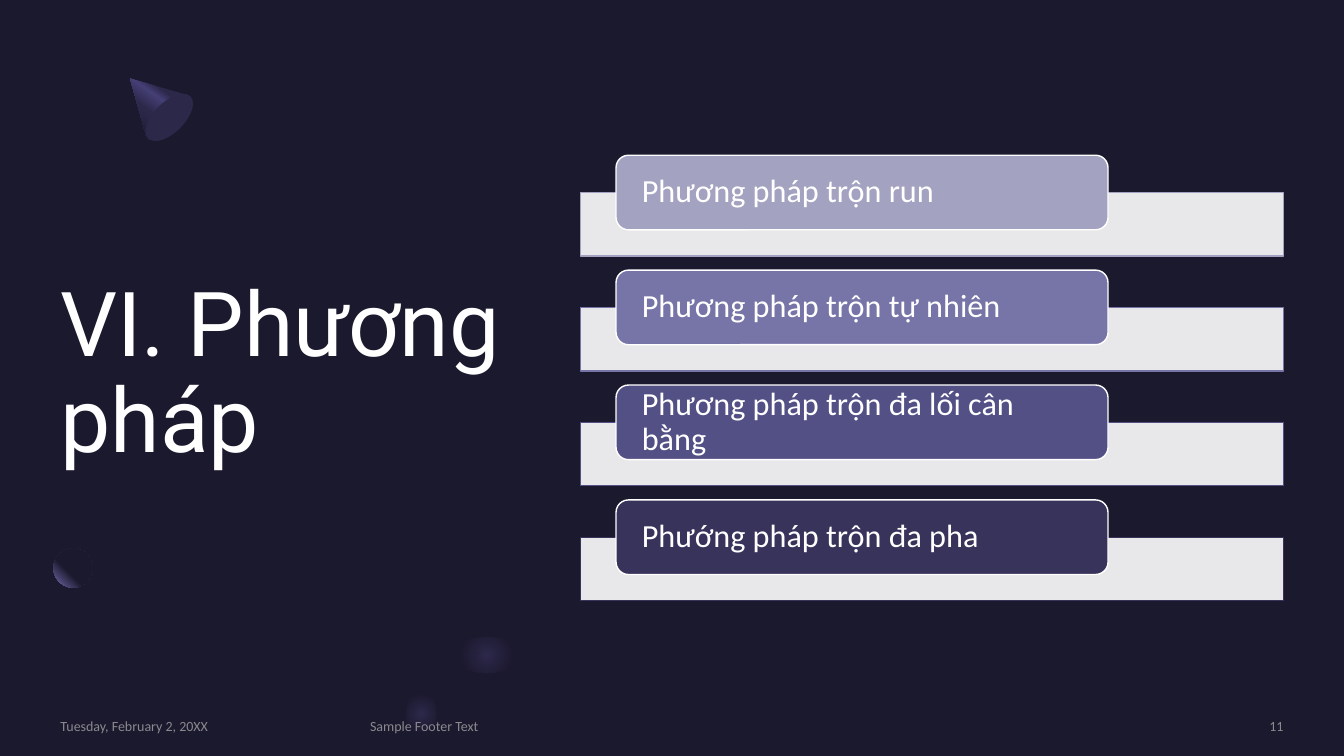
"""Builds the slide that lists the four merge sort methods."""
from dataclasses import dataclass

from lxml.etree import SubElement as Sub
from pptx import Presentation
from pptx.dml.color import RGBColor as Color
from pptx.enum.shapes import MSO_SHAPE as Kind
from pptx.enum.text import MSO_ANCHOR as Anchor, PP_ALIGN as Align
from pptx.oxml.ns import qn
from pptx.util import Inches, Pt


@dataclass(frozen=True)
class Theme:
    """Colours, fonts and type sizes."""
    back: str = "1B192E"
    deep: str = "2C284A"
    glow: str = "454075"
    rim: str = "7771B2"
    white: str = "FFFFFF"
    bar: str = "E8E8EA"
    mute: str = "8A898E"
    head: str = "Roboto"
    body: str = "Calibri"
    title: int = 64
    label: int = 23
    small: int = 10


look = Theme()
TITLE = "VI. Phương pháp"
METHODS = [
    ("Phương pháp trộn run", "A3A3C1"),
    ("Phương pháp trộn tự nhiên", "7775A8"),
    ("Phương pháp trộn đa lối cân bằng", "535086"),
    ("Phướng pháp trộn đa pha", "37335B"),
]
FOOTER = [
    ("Tuesday, February 2, 20XX", 0.6, 2.88, Align.LEFT),
    ("Sample Footer Text", 3.67, 6.98, Align.LEFT),
    ("11", 10.88, 1.85, Align.RIGHT),
]
CONE = [(1.29, 0.78), (1.85, 0.94), (1.88, 0.96), (1.89, 1.05), (1.78, 1.27),
        (1.6, 1.38), (1.47, 1.38), (1.45, 1.35)]
HAZE = [(4.48, 6.32, 0.7, 0.36), (4.03, 6.82, 0.3, 0.52)]
TOP, STEP = 1.54, 1.14


def paint(shape, fill, line=None):
    """Set a plain fill and an outline, with no shadow."""
    shape.shadow.inherit = False
    shape.fill.solid()
    shape.fill.fore_color.rgb = Color.from_string(fill)
    if line:
        shape.line.color.rgb = Color.from_string(line)
        shape.line.width = Pt(1)
    else:
        shape.line.fill.background()


def blend(shape, stops, angle=None, focus=None):
    """Swap the plain fill for a linear or a round gradient."""
    props = shape.fill._xPr
    old = props.find(qn("a:solidFill"))
    grad = props.makeelement(qn("a:gradFill"), {"rotWithShape": "1"})
    props.replace(old, grad)
    marks = Sub(grad, qn("a:gsLst"))
    for place, tone in stops:
        mark = Sub(marks, qn("a:gs"), pos=str(place * 1000))
        Sub(mark, qn("a:srgbClr"), val=tone)
    if focus:
        way = Sub(grad, qn("a:path"), {"path": "circle"})
        sides = {side: str(part * 1000) for side, part in zip("ltrb", focus)}
        Sub(way, qn("a:fillToRect"), sides)
    else:
        Sub(grad, qn("a:lin"), ang=str(angle * 60000), scaled="0")


def write(shape, text, size, color, font=look.body, align=Align.LEFT,
          inset=0, space=1.0):
    """Put formatted text in a shape."""
    frame = shape.text_frame
    frame.word_wrap = True
    frame.vertical_anchor = Anchor.MIDDLE
    frame.margin_left = frame.margin_right = Inches(inset)
    frame.margin_top = frame.margin_bottom = 0
    para = frame.paragraphs[0]
    para.alignment = align
    para.line_spacing = space
    run = para.add_run()
    run.text = text
    run.font.size = Pt(size)
    run.font.name = font
    run.font.color.rgb = Color.from_string(color)


def place(shapes, kind, *box):
    """Add a preset shape at a box in inches."""
    return shapes.add_shape(kind, *map(Inches, box))


def label(shapes, box, text, size, color, **form):
    """Add a text box at a box in inches."""
    write(shapes.add_textbox(*map(Inches, box)), text, size, color, **form)


def decor(shapes):
    """Draw the cone, the ball and the soft spots."""
    start, *rest = [(Inches(x), Inches(y)) for x, y in CONE]
    pen = shapes.build_freeform(*start)
    pen.add_line_segments(rest)
    cone = pen.convert_to_shape()
    paint(cone, look.deep)
    blend(cone, [(30, look.deep), (40, look.glow), (60, look.deep),
                 (100, look.back)], angle=125)
    base = place(shapes, Kind.OVAL, 1.53, 0.87, 0.3, 0.59)
    base.rotation = 45
    paint(base, look.deep)
    ball = place(shapes, Kind.OVAL, 0.53, 5.44, 0.39, 0.39)
    paint(ball, look.back)
    blend(ball, [(60, look.back), (100, look.rim)], focus=(100, 0, 0, 100))
    for box in HAZE:
        spot = place(shapes, Kind.OVAL, *box)
        paint(spot, look.deep)
        blend(spot, [(0, look.deep), (70, look.back), (100, look.back)],
              focus=(50, 50, 50, 50))


def main():
    """Build and save the slide."""
    deck = Presentation()
    deck.slide_width, deck.slide_height = Inches(13.33), Inches(7.5)
    slide = deck.slides.add_slide(deck.slide_layouts[6])
    fill = slide.background.fill
    fill.solid()
    fill.fore_color.rgb = Color.from_string(look.back)
    shapes = slide.shapes
    decor(shapes)
    label(shapes, (0.6, 1.66, 4.96, 4.13), TITLE, look.title, look.white,
          font=look.head, space=0.9)
    for row, (text, tone) in enumerate(METHODS):
        top = TOP + row * STEP
        bar = place(shapes, Kind.RECTANGLE, 5.76, top + 0.37, 6.97, 0.63)
        paint(bar, look.bar, tone)
        pill = place(shapes, Kind.ROUNDED_RECTANGLE, 6.11, top, 4.88, 0.74)
        paint(pill, tone, look.white)
        write(pill, text, look.label, look.white, inset=0.18, space=0.9)
        pill.text_frame.margin_left = Inches(0.22)
    for text, left, width, align in FOOTER:
        label(shapes, (left, 7.12, width, 0.17), text, look.small, look.mute,
              align=align)
    deck.save("out.pptx")


if __name__ == "__main__":
    main()
